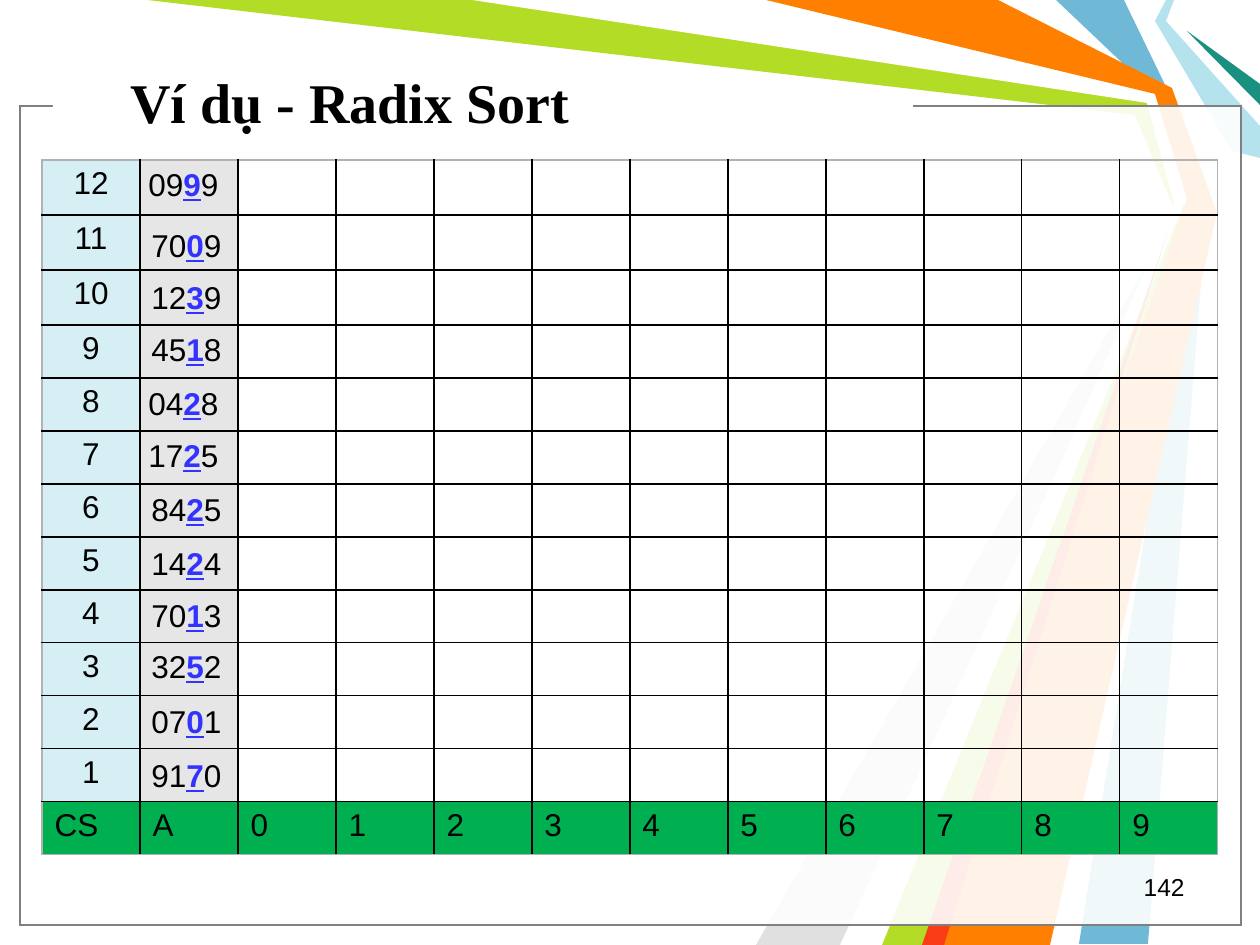
"""Build the Radix Sort example slide with its ribbon background."""
from lxml import etree
from pptx import Presentation
from pptx.dml.color import RGBColor
from pptx.enum.shapes import MSO_SHAPE
from pptx.enum.text import MSO_ANCHOR, PP_ALIGN
from pptx.oxml.ns import qn
from pptx.util import Pt

RECT = MSO_SHAPE.RECTANGLE
TOP, MIDDLE = MSO_ANCHOR.TOP, MSO_ANCHOR.MIDDLE
LEFT, CENTER, RIGHT = PP_ALIGN.LEFT, PP_ALIGN.CENTER, PP_ALIGN.RIGHT

COLORS = {
    "black": "000000", "white": "FFFFFF", "gray": "808080", "edge": "B2B2B2",
    "blue": "6FB9D7", "lime": "B3DC27", "silver": "E0E0E0", "sky": "B4E3EE",
    "teal": "189180", "orange": "FF7F00", "red": "F93D17",
    "index": "D6EFF5", "array": "E6E6E6", "footer": "00B050", "digit": "3333FF",
}

RIBBONS = [
    ("blue", [(1124, 0), (1171, 97), (1207, 210), (1148, 944), (1079, 944),
              (1197, 210), (1155, 94), (1056, 0)]),
    ("lime", [(147, 0), (483, 0), (1152, 98), (1187, 213), (935, 945),
              (872, 945), (1178, 218), (1135, 115)]),
    ("silver", [(840, 945), (1168, 228), (756, 945)]),
    ("white", [(472, 0), (1147, 103), (1174, 204), (850, 945), (882, 945),
               (1186, 199), (1155, 94), (756, 0)]),
    ("sky", [(1166, 0), (1155, 21), (1232, 151), (1260, 158), (1260, 126),
             (1166, 21), (1174, 0)]),
    ("teal", [(1260, 105), (1187, 31), (1260, 84)]),
    ("orange", [(766, 0), (998, 0), (1172, 88), (1217, 213), (1050, 945),
                (924, 945), (1187, 199), (1155, 94)]),
    ("red", [(922, 945), (1168, 231), (944, 945)]),
]
FRAME = (20, 106, 1221, 819)
TITLE = "Ví dụ - Radix Sort"
PAGE = "142"

VALUES = [
    ("0999", 136, 159), ("7009", 139, 220), ("1239", 139, 272),
    ("4518", 139, 324), ("0428", 136, 378), ("1725", 136, 430),
    ("8425", 139, 484), ("1424", 139, 538), ("7013", 139, 590),
    ("3252", 139, 641), ("0701", 139, 696), ("9170", 139, 750),
]
HEADINGS = ["CS", "A"] + [str(n) for n in range(10)]
ROWS = [[str(n)] + [""] * 11 for n in range(12, 0, -1)] + [HEADINGS]
ROW_HEIGHTS = [55] * 3 + [53] * 10
COL_WIDTH = 98
TABLE_LEFT, TABLE_TOP = 42, 160
SCALE = 914400 / 126


def px(*values):
    return [round(v * SCALE) for v in values]


def rgb(name):
    return RGBColor.from_string(COLORS[name])


def paint(sp, fill, line=None, alpha=None):
    sp.shadow.inherit = False
    sp.fill.solid()
    sp.fill.fore_color.rgb = rgb(fill)
    if alpha:
        color = sp._element.spPr.find(qn("a:solidFill"))[0]
        etree.SubElement(color, qn("a:alpha"), val=str(alpha * 1000))
    if line:
        sp.line.color.rgb = rgb(line)
        sp.line.width = Pt(0.75)
    else:
        sp.line.fill.background()


def add_run(p, text, size=18, font="Arial", color="black", bold=False, underline=False):
    r = p.add_run()
    r.text = text
    f = r.font
    f.size, f.name, f.bold, f.underline = Pt(size), font, bold, underline
    f.color.rgb = rgb(color)


def add_text(s, box, runs, align=LEFT, anchor=TOP, wrap=True):
    tf = s.shapes.add_textbox(*px(*box)).text_frame
    tf.word_wrap, tf.vertical_anchor = wrap, anchor
    p = tf.paragraphs[0]
    p.alignment = align
    for text, style in runs:
        add_run(p, text, **style)


def set_borders(cell, sides):
    tcPr = cell._tc.get_or_add_tcPr()
    for i, (side, color) in enumerate(sides.items()):
        ln = etree.Element(qn(f"a:ln{side}"), w=str(Pt(1)))
        fill = etree.SubElement(ln, qn("a:solidFill"))
        etree.SubElement(fill, qn("a:srgbClr"), val=COLORS[color])
        tcPr.insert(i, ln)


def add_background(s):
    for color, points in RIBBONS:
        builder = s.shapes.build_freeform(*points[0], scale=SCALE)
        builder.add_line_segments(points[1:], close=True)
        paint(builder.convert_to_shape(), color)
    for line in ("black", "gray"):
        paint(s.shapes.add_shape(RECT, *px(*FRAME)), "white", line, alpha=69)
    paint(s.shapes.add_shape(RECT, *px(53, 93, 860, 21)), "white")


def add_grid(s):
    last_row, last_col = len(ROWS) - 1, len(HEADINGS) - 1
    box = px(TABLE_LEFT, TABLE_TOP, COL_WIDTH * len(HEADINGS), sum(ROW_HEIGHTS))
    table = s.shapes.add_table(len(ROWS), len(HEADINGS), *box).table
    table.first_row = table.horz_banding = False
    for col in table.columns:
        col.width = px(COL_WIDTH)[0]
    for i, row in enumerate(ROWS):
        table.rows[i].height = px(ROW_HEIGHTS[i])[0]
        for j, text in enumerate(row):
            cell = table.cell(i, j)
            fill = "footer" if i == last_row else {0: "index", 1: "array"}.get(j)
            if fill:
                cell.fill.solid()
                cell.fill.fore_color.rgb = rgb(fill)
            else:
                cell.fill.background()
            outer = {"L": j == 0, "R": j == last_col, "T": i == 0, "B": i == last_row}
            set_borders(cell, {k: "edge" if v else "black" for k, v in outer.items()})
            p = cell.text_frame.paragraphs[0]
            p.alignment = LEFT if i == last_row else CENTER
            if text:
                add_run(p, text)


def main():
    prs = Presentation()
    prs.slide_width, prs.slide_height = px(1260, 945)
    s = prs.slides.add_slide(prs.slide_layouts[6])
    add_background(s)
    title_style = dict(size=32, font="Times New Roman", bold=True)
    add_text(s, (118, 67, 868, 69), [(TITLE, title_style)], anchor=MIDDLE)
    add_text(s, (903, 866, 294, 42), [(PAGE, dict(size=14))], align=RIGHT)
    add_grid(s)
    digit = dict(color="digit", bold=True, underline=True)
    for value, x, y in VALUES:
        runs = [(value[:2], {}), (value[2], digit), (value[3], {})]
        add_text(s, (x, y, 96, 50), runs, wrap=False)
    prs.save("out.pptx")


if __name__ == "__main__":
    main()
